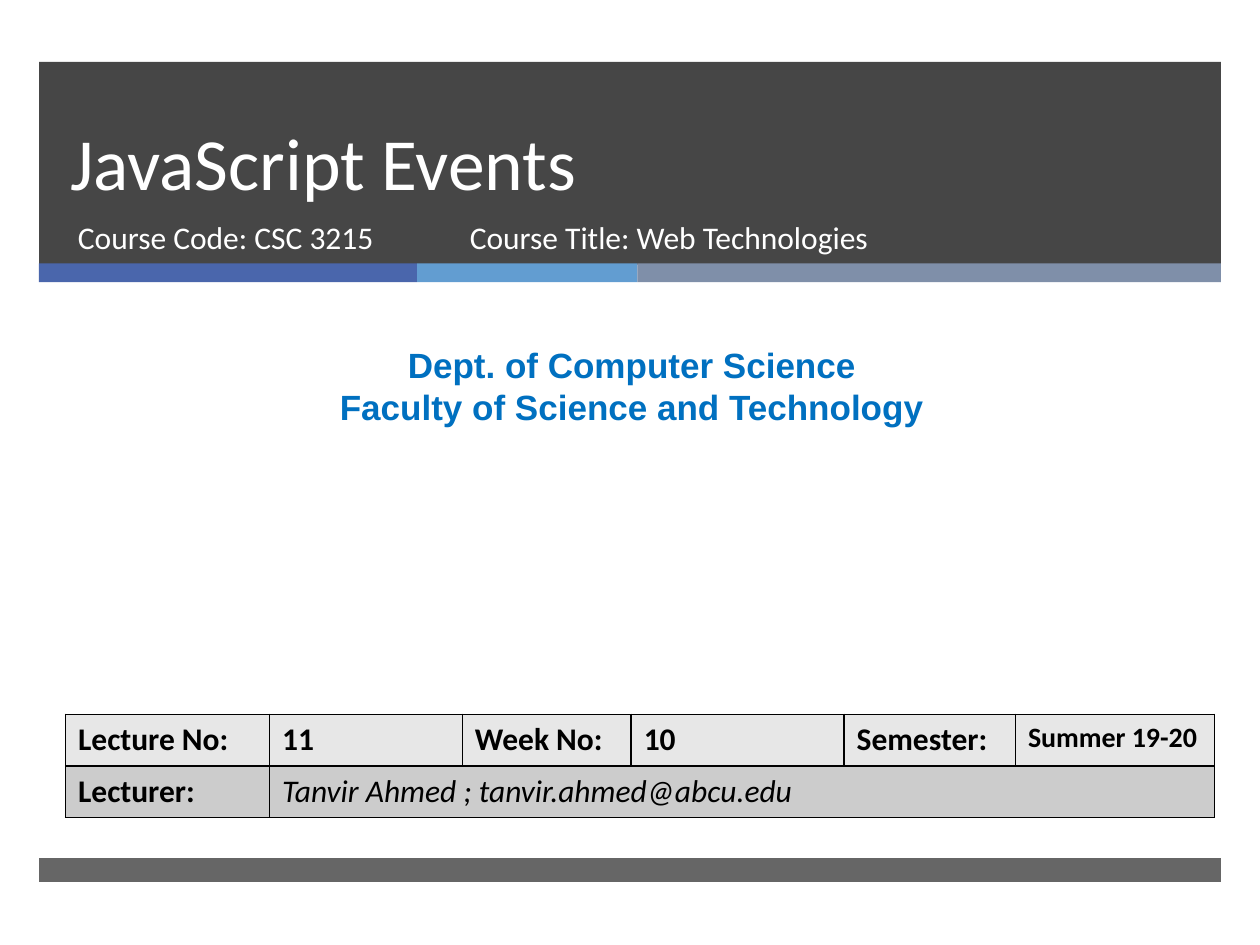
import pptx
import pptx.util
import pptx.dml.color
import pptx.enum.shapes
import pptx.enum.text
import pptx.oxml
import pptx.oxml.ns
from pptx.util import Inches, Pt

BARS = [
    (0.31, 0.49, 9.38, 1.61, "262626", 85),
    (0.31, 2.09, 3, 0.15, "4A66AC", 100),
    (3.31, 2.09, 1.75, 0.15, "629DD1", 100),
    (5.06, 2.09, 4.63, 0.15, "7F8FA9", 100),
    (0.31, 6.81, 9.38, 0.19, "262626", 70),
]
TITLE = "JavaScript Events"
TEXTS = [
    (0.52, 1.68, 3.05, 0.53, "Course Code: CSC 3215"),
    (3.63, 1.68, 4.55, 0.53, "Course Title: Web Technologies"),
]
DEPT = "Dept. of Computer Science\nFaculty of Science and Technology"
COLS = [1.62, 1.53, 1.34, 1.69, 1.36, 1.58]
ROWS = [
    ("E7E7E7", ["Lecture No:", "11", "Week No:", "10", "Semester:", "Summer 19-20"]),
    ("CCCCCC", ["Lecturer:", "Tanvir Ahmed ; tanvir.ahmed@abcu.edu"]),
]
HIGH = 0.41
A = pptx.oxml.ns.nsdecls("a")


def paint(fill, color):
    fill.solid()
    fill.fore_color.rgb = pptx.dml.color.RGBColor.from_string(color)


def style(frame, size, color, font="Calibri", bold=False, italic=False):
    for para in frame.paragraphs:
        for run in para.runs:
            run.font.size = Pt(size)
            run.font.name = font
            run.font.bold = bold
            run.font.italic = italic
            paint(run.font.fill, color)


def add_bar(x, y, w, h, color, alpha):
    bar = slide.shapes.add_shape(
        pptx.enum.shapes.MSO_SHAPE.RECTANGLE, Inches(x), Inches(y), Inches(w), Inches(h))
    bar.shadow.inherit = False
    bar.line.fill.background()
    paint(bar.fill, color)
    if alpha < 100:
        tone = bar._element.spPr.find(".//" + pptx.oxml.ns.qn("a:srgbClr"))
        tone.append(pptx.oxml.parse_xml(f'<a:alpha {A} val="{alpha * 1000}"/>'))


def add_text(x, y, w, h, text):
    frame = slide.shapes.add_textbox(Inches(x), Inches(y), Inches(w), Inches(h)).text_frame
    frame.word_wrap = True
    frame.text = text
    return frame


def add_edges(cell):
    props = cell._tc.get_or_add_tcPr()
    for spot, side in enumerate("LRTB"):
        props.insert(spot, pptx.oxml.parse_xml(
            f'<a:ln{side} {A} w="12700"><a:solidFill><a:srgbClr val="000000"/>'
            f'</a:solidFill></a:ln{side}>'))


deck = pptx.Presentation()
deck.slide_width, deck.slide_height = Inches(10), Inches(7.5)
slide = deck.slides.add_slide(deck.slide_layouts[6])

for bar in BARS:
    add_bar(*bar)

title = add_text(0.46, 0.49, 8.54, 1.19, TITLE)
title.vertical_anchor = pptx.enum.text.MSO_ANCHOR.BOTTOM
title.paragraphs[0].line_spacing = Pt(46)
style(title, 42, "FFFFFF")

for item in TEXTS:
    style(add_text(*item), 18, "FFFFFF")

dept = add_text(0.08, 2.68, 9.87, 0.77, DEPT)
for para in dept.paragraphs:
    para.alignment = pptx.enum.text.PP_ALIGN.CENTER
style(dept, 20, "0070C0", "Arial", True)

table = slide.shapes.add_table(
    len(ROWS), len(COLS), Inches(0.52), Inches(5.67),
    Inches(sum(COLS)), Inches(HIGH * len(ROWS))).table
for col, width in zip(table.columns, COLS):
    col.width = Inches(width)
for r, (color, words) in enumerate(ROWS):
    table.rows[r].height = Inches(HIGH)
    for c in range(len(COLS)):
        cell = table.cell(r, c)
        paint(cell.fill, color)
        add_edges(cell)
        if c < len(words):
            cell.text_frame.text = words[c]
            name = r == 1 and c == 1
            size = 16 if c == len(COLS) - 1 else 18
            style(cell.text_frame, size, "000000", bold=not name, italic=name)
table.cell(1, 1).merge(table.cell(1, len(COLS) - 1))

deck.save("out.pptx")
